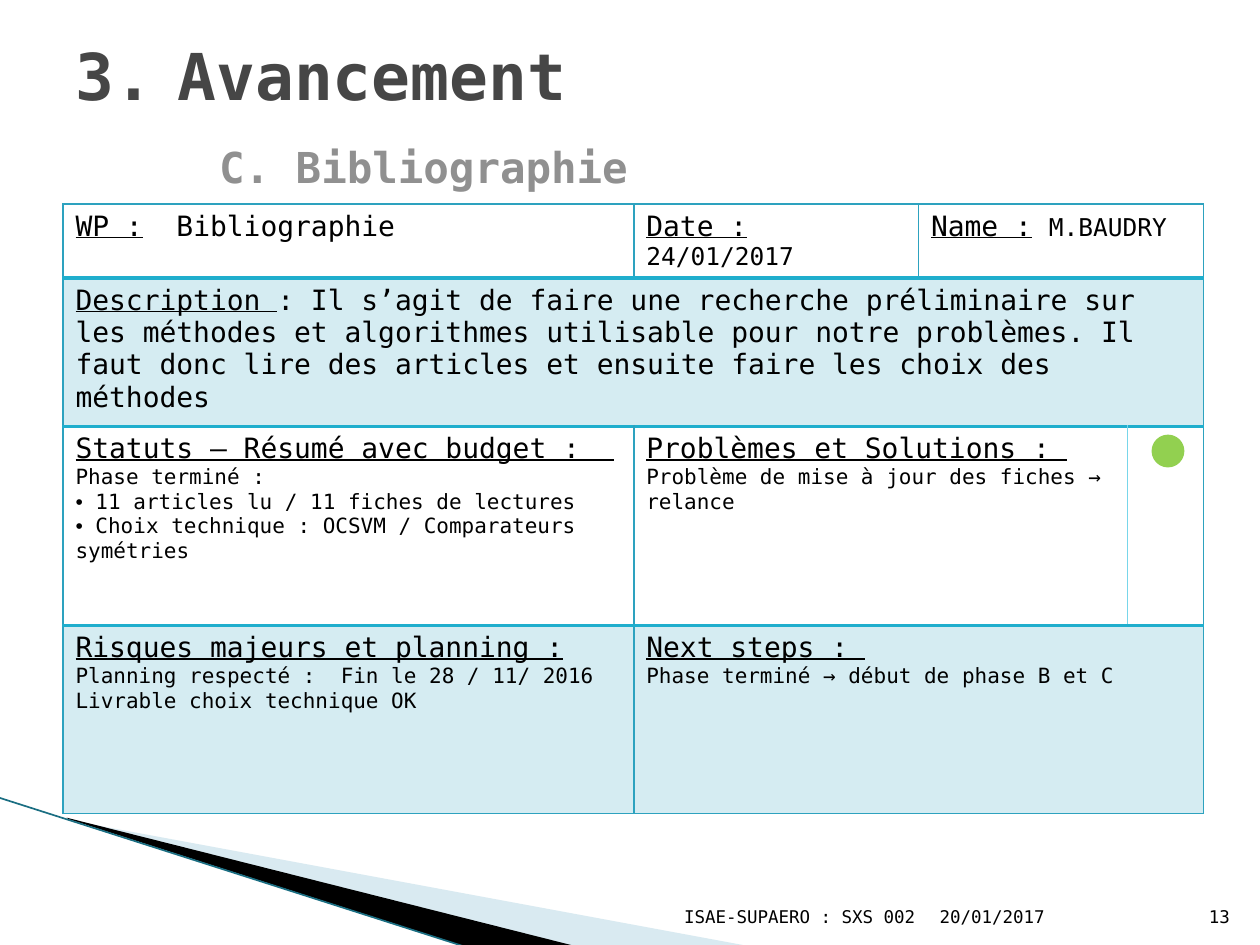
import copy

import pptx
import pptx.dml.color
import pptx.enum.shapes
import pptx.enum.text
import pptx.oxml
import pptx.oxml.ns
import pptx.util

Inches, Pt = pptx.util.Inches, pptx.util.Pt
RGBColor = pptx.dml.color.RGBColor
ALIGN, ANCHOR = pptx.enum.text.PP_ALIGN, pptx.enum.text.MSO_ANCHOR
SHAPE, CONNECTOR = pptx.enum.shapes.MSO_SHAPE, pptx.enum.shapes.MSO_CONNECTOR
qn = pptx.oxml.ns.qn

FONT = "DejaVu Sans Mono"
BLACK = RGBColor(0x00, 0x00, 0x00)
DARK = RGBColor(0x46, 0x46, 0x46)
GREY = RGBColor(0x90, 0x90, 0x90)
TEAL = RGBColor(0x2D, 0xA2, 0xBF)
BRIGHT = RGBColor(0x1F, 0xAE, 0xCD)
PALE = RGBColor(0x78, 0xD6, 0xEA)
DEEP = RGBColor(0x1A, 0x6E, 0x82)
WEDGE = RGBColor(0xA0, 0xCB, 0xDC)
GREEN = RGBColor(0x92, 0xD0, 0x50)

# Content: a run is (text, size, underlined); a cell is (row, first col, last col, paragraphs)
TITLE = [("Avancement\n", 36.9, DARK), (" ", 39.6, GREY), ("C. Bibliographie", 24.3, GREY)]
COLS = [4.53, 2.26, 1.66, 0.6]
ROWS = [0.58, 1.18, 1.58, 1.49]
SHADED_ROWS = (1, 3)
CELLS = [
    (0, 0, 0, [[("WP :", 16, True), ("  Bibliographie", 16, False)]]),
    (0, 1, 1, [[("Date :", 16, True), (" ", 16, False), ("24/01/2017", 14, False)]]),
    (0, 2, 3, [[("Name :", 16, True), (" ", 16, False), ("M.BAUDRY", 14, False)]]),
    (1, 0, 3, [[("Description ", 16, True),
                (": Il s’agit de faire une recherche préliminaire sur les méthodes et "
                 "algorithmes utilisable pour notre problèmes. Il faut donc lire des "
                 "articles et ensuite faire les choix des méthodes", 16, False)]]),
    (2, 0, 0, [[("Statuts – Résumé avec budget :  \n", 16, True),
                ("Phase terminé :", 12, False)],
               [("• 11 articles lu / 11 fiches de lectures", 12, False)],
               [("• Choix technique : OCSVM / Comparateurs symétries", 12, False)]]),
    (2, 1, 2, [[("Problèmes et Solutions : ", 16, True)],
               [("Problème de mise à jour des fiches → relance", 12, False)]]),
    (2, 3, 3, []),
    (3, 0, 0, [[("Risques majeurs et planning :", 16, True)],
               [("Planning respecté :  Fin le 28 / 11/ 2016", 12, False)],
               [("Livrable choix technique OK", 12, False)]]),
    (3, 1, 3, [[("Next steps : ", 16, True)],
               [("Phase terminé → début de phase B et C", 12, False)]]),
]
FOOTERS = [  # text, left, width, alignment
    ("ISAE-SUPAERO : SXS 002", 4.79, 2.57, ALIGN.RIGHT),
    ("20/01/2017", 7.36, 2.1, ALIGN.LEFT),
    ("13", 9.46, 0.4, ALIGN.RIGHT),
]
WEDGES = [  # points, colour, opacity in percent
    ([(0.55, 6.51), (5.95, 7.51), (4.56, 7.51), (0.55, 6.5)], WEDGE, 40),
    ([(0.53, 6.49), (4.57, 7.51), (3.72, 7.52), (0.54, 6.5)], BLACK, 100),
]


def set_alpha(parent, percent):
    color = next(parent.iter(qn("a:srgbClr")))
    pptx.oxml.ns  # namespace helpers
    alpha = color.makeelement(qn("a:alpha"), {"val": str(percent * 1000)})
    color.append(alpha)


def add_run(p, text, size, color=BLACK, underline=False, bold=False):
    r = p.add_run()
    r.text = text.rstrip("\n")
    font = r.font
    font.name, font.size, font.bold = FONT, Pt(size), bold
    font.underline = underline
    font.color.rgb = color
    if text.endswith("\n"):
        p.add_line_break()
        p._p[-1].insert(0, copy.deepcopy(r._r.rPr))


def add_bullet(p, tag, font=None, indent=0, **attrs):
    pPr = p._p.get_or_add_pPr()
    pPr.set("marL", str(Inches(indent)))
    pPr.set("indent", str(-Inches(indent)))
    if font:
        pPr.append(pPr.makeelement(qn("a:buFont"), {"typeface": font}))
    pPr.append(pPr.makeelement(qn(tag), attrs))


def add_text_box(s, left, top, width, height, anchor):
    tf = s.shapes.add_textbox(*map(Inches, (left, top, width, height))).text_frame
    tf.word_wrap = True
    tf.vertical_anchor = anchor
    return tf


def set_border(cell, side, color, width):
    tcPr = cell._tc.get_or_add_tcPr()
    ln = tcPr.makeelement(qn("a:ln" + side), {"w": str(Pt(width))})
    fill = ln.makeelement(qn("a:solidFill"), {})
    fill.append(fill.makeelement(qn("a:srgbClr"), {"val": str(color)}))
    ln.append(fill)
    tcPr.append(ln)


def format_cell(cell, row, col):
    last_row, last_col = len(ROWS) - 1, len(COLS) - 1
    status_edge = {"L": last_col, "R": last_col - 1}
    for side in "LRTB":
        inner = (side == "T" and row > 0) or (side == "B" and row < last_row)
        if inner:
            set_border(cell, side, BRIGHT, 2.25)
        elif row == 2 and status_edge.get(side) == col:
            set_border(cell, side, PALE, 1)
        else:
            set_border(cell, side, TEAL, 1)
    if row in SHADED_ROWS:
        cell.fill.solid()
        cell.fill.fore_color.rgb = TEAL
        set_alpha(cell._tc.tcPr.find(qn("a:solidFill")), 20)
    else:
        cell.fill.background()


def add_wedges(s):
    for points, color, opacity in WEDGES:
        pts = [(Inches(x), Inches(y)) for x, y in points]
        builder = s.shapes.build_freeform(*pts[0], scale=1.0)
        builder.add_line_segments(pts[1:], close=True)
        sp = builder.convert_to_shape()
        sp.shadow.inherit = False
        sp.fill.solid()
        sp.fill.fore_color.rgb = color
        set_alpha(sp._element.spPr, opacity)
        sp.line.fill.background()
    line = s.shapes.add_connector(CONNECTOR.STRAIGHT, Inches(-0.01), Inches(6.33),
                                  Inches(3.71), Inches(7.52))
    line.line.color.rgb = DEEP
    line.line.width = Pt(0.95)
    spPr = line._element.spPr
    spPr.append(spPr.makeelement(qn("a:effectLst"), {}))


def add_work_package_table(s):
    frame = s.shapes.add_table(len(ROWS), len(COLS), Inches(0.5), Inches(1.62),
                               Inches(sum(COLS)), Inches(sum(ROWS)))
    table = frame.table
    table.first_row = table.horz_banding = False
    for column, width in zip(table.columns, COLS):
        column.width = Inches(width)
    for row, height in zip(table.rows, ROWS):
        row.height = Inches(height)
    for i in range(len(ROWS)):
        for j in range(len(COLS)):
            format_cell(table.cell(i, j), i, j)
    for row, first, last, paragraphs in CELLS:
        cell = table.cell(row, first)
        if last > first:
            cell.merge(table.cell(row, last))
        tf = cell.text_frame
        for n, runs in enumerate(paragraphs):
            p = tf.add_paragraph() if n else tf.paragraphs[0]
            for text, size, underline in runs:
                if text.startswith("•"):
                    add_bullet(p, "a:buChar", font="Arial", char="•")
                    text = text[1:]
                add_run(p, text, size, underline=underline)


def main():
    prs = pptx.Presentation()
    prs.slide_width, prs.slide_height = Inches(10), Inches(7.5)
    s = prs.slides.add_slide(prs.slide_layouts[6])

    add_wedges(s)
    add_work_package_table(s)

    # Footer
    for text, left, width, align in FOOTERS:
        p = add_text_box(s, left, 7.01, width, 0.4, ANCHOR.BOTTOM).paragraphs[0]
        p.alignment = align
        add_run(p, text, 10)

    # Numbered title
    p = add_text_box(s, 0.5, 0.3, 9, 1.25, ANCHOR.MIDDLE).paragraphs[0]
    add_bullet(p, "a:buAutoNum", font=FONT, indent=0.81, type="arabicPeriod", startAt="3")
    for text, size, color in TITLE:
        add_run(p, text, size, color, bold=True)

    # Status light
    sp = s.shapes.add_shape(SHAPE.OVAL, Inches(9.17), Inches(3.48), Inches(0.2), Inches(0.2))
    sp.shadow.inherit = False
    sp.fill.solid()
    sp.fill.fore_color.rgb = sp.line.color.rgb = GREEN
    sp.line.width = Pt(4.33)

    prs.save("out.pptx")


if __name__ == "__main__":
    main()
